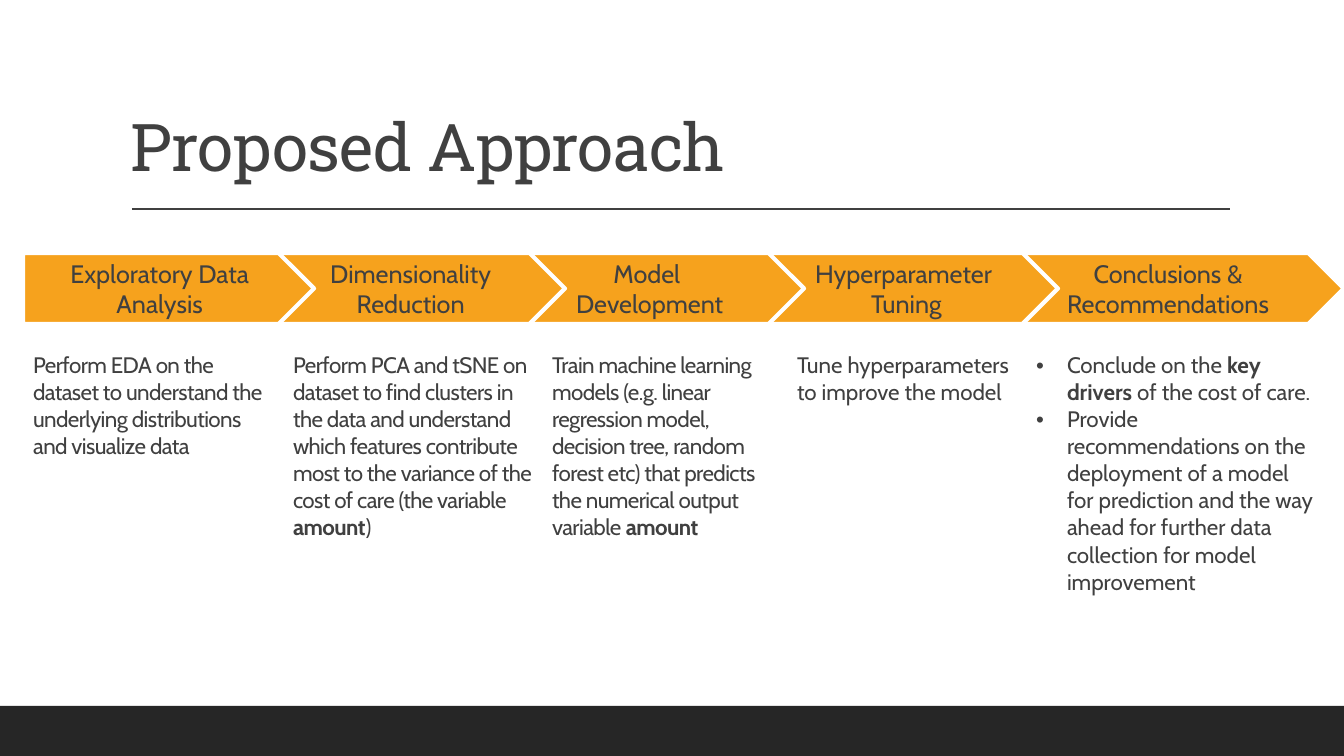
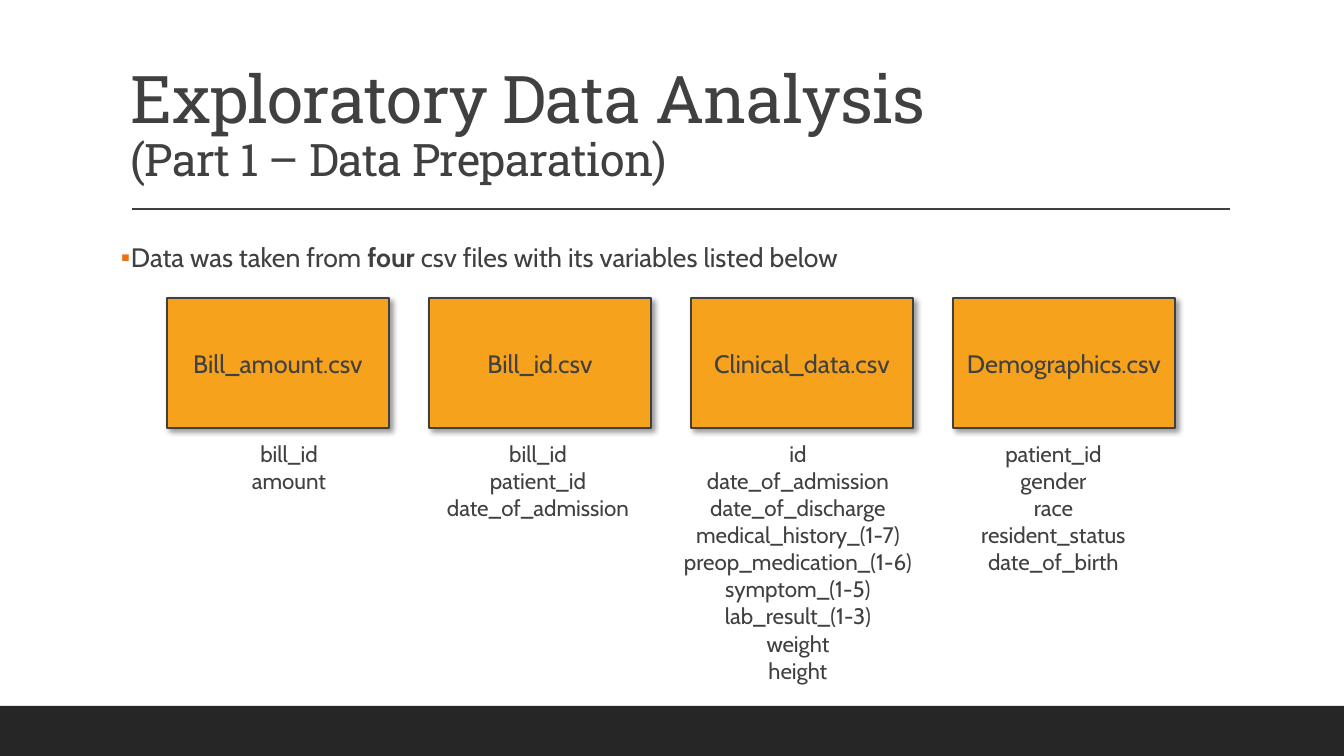
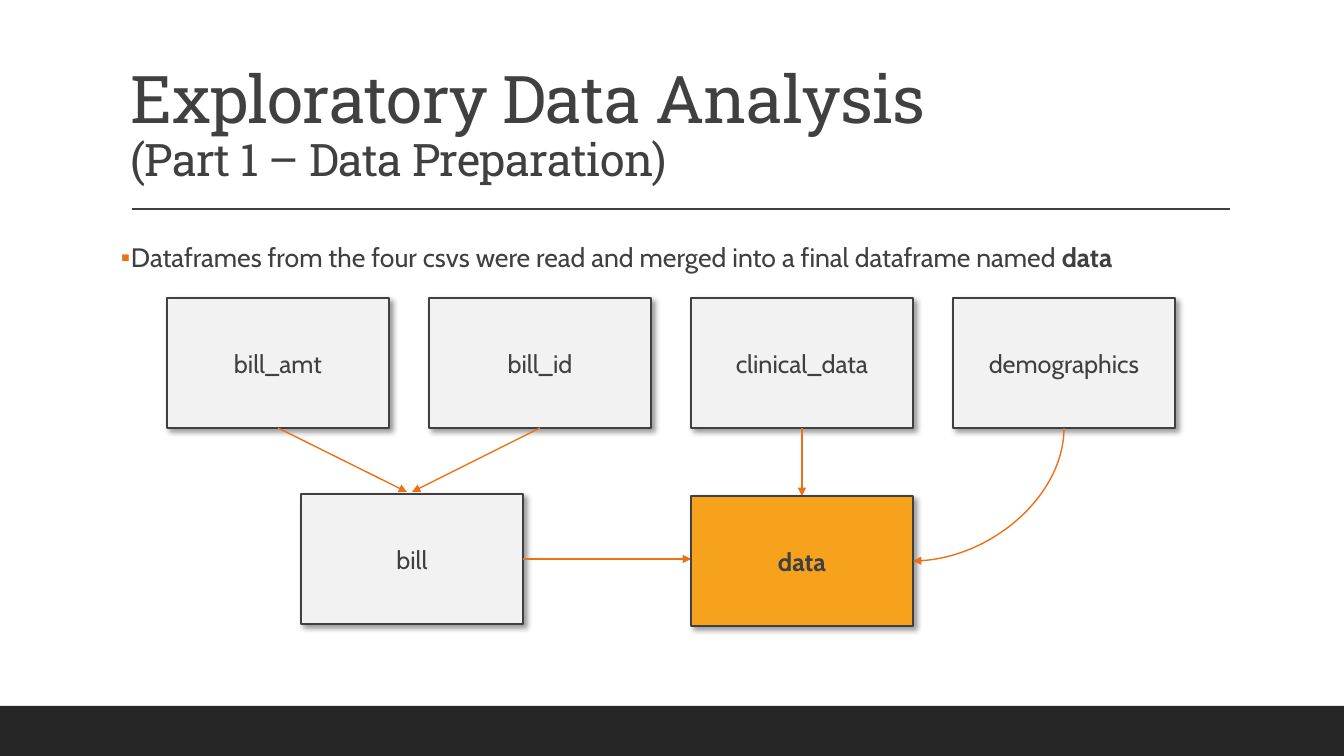
from lxml import etree
from pptx import Presentation
from pptx.dml.color import RGBColor
from pptx.enum.shapes import MSO_CONNECTOR, MSO_SHAPE
from pptx.enum.text import MSO_ANCHOR, PP_ALIGN
from pptx.oxml.ns import qn
from pptx.util import Emu, Pt

INK = RGBColor(0x40, 0x40, 0x40)
BAND = RGBColor(0x26, 0x26, 0x26)
AMBER = RGBColor(0xF6, 0xA2, 0x1D)
PALE = RGBColor(0xF2, 0xF2, 0xF2)
ORANGE = RGBColor(0xEC, 0x70, 0x16)
WHITE = RGBColor(0xFF, 0xFF, 0xFF)
HEAD_FONT, BODY_FONT = "Roboto Slab", "Cabin"
RECT, PENTAGON = MSO_SHAPE.RECTANGLE, MSO_SHAPE.PENTAGON
STRAIGHT, CURVE = MSO_CONNECTOR.STRAIGHT, MSO_CONNECTOR.CURVE
LEFT, CENTER = PP_ALIGN.LEFT, PP_ALIGN.CENTER
BOTTOM, MIDDLE = MSO_ANCHOR.BOTTOM, MSO_ANCHOR.MIDDLE
WIDTH, HEIGHT = 1344, 756
SCALE = 12192000 / WIDTH
BOX_W, BOX_H, BOX_TOP = 222, 130, 298
BOX_LEFTS = [167 + 262 * i for i in range(4)]


def px(n):
    return Emu(round(n * SCALE))


def add_xml(parent, tag, **attrs):
    return etree.SubElement(parent, qn(tag), attrs)


class Deck:
    def __init__(self):
        self.prs = Presentation()
        self.prs.slide_width, self.prs.slide_height = px(WIDTH), px(HEIGHT)
        self.s = None

    def slide(self, title, subtitle=None):
        self.s = self.prs.slides.add_slide(self.prs.slide_layouts[6])
        self.shape(RECT, 0, 706, WIDTH, 50, BAND)
        self.line(132, 209, 1230, 209, INK)
        tf = self.textbox(121, 31, 1109, 160)
        tf.vertical_anchor = BOTTOM
        p = tf.paragraphs[0]
        p.line_spacing = 0.9
        self.run(p, title, 47, HEAD_FONT, spc=-50)
        if subtitle:
            p.add_line_break()
            self.run(p, subtitle, 32, HEAD_FONT, spc=-50)

    def textbox(self, x, y, w, h):
        tf = self.s.shapes.add_textbox(px(x), px(y), px(w), px(h)).text_frame
        tf.word_wrap = True
        return tf

    def run(self, p, text, size, font=BODY_FONT, bold=False, spc=0):
        r = p.add_run()
        r.text = text
        self.style(r, size, font, bold)
        if spc:
            r.font._element.set("spc", str(spc))

    def style(self, r, size, font=BODY_FONT, bold=False):
        r.font.size, r.font.name, r.font.bold = Pt(size), font, bold
        r.font.color.rgb = INK

    def rich(self, p, text, size, spc=0):
        for i, part in enumerate(text.split("*")):
            if part:
                self.run(p, part, size, bold=i % 2 == 1, spc=spc)

    def bullet(self, p, char, indent, color=None):
        pPr = p._p.get_or_add_pPr()
        pPr.set("marL", str(px(indent)))
        pPr.set("indent", str(-px(indent)))
        if color:
            add_xml(add_xml(pPr, "a:buClr"), "a:srgbClr", val=str(color))
        add_xml(pPr, "a:buFont", typeface="Arial")
        add_xml(pPr, "a:buChar", char=char)

    def lead(self, text):
        tf = self.textbox(121, 233, 1109, 48)
        tf.margin_left = tf.margin_right = 0
        p = tf.paragraphs[0]
        self.bullet(p, "▪", 10, ORANGE)
        p.line_spacing = 1.1
        self.rich(p, text, 19)

    def shape(self, kind, x, y, w, h, fill, line=None, weight=1):
        sp = self.s.shapes.add_shape(kind, px(x), px(y), px(w), px(h))
        sp.shadow.inherit = False
        sp.fill.solid()
        sp.fill.fore_color.rgb = fill
        if line is None:
            sp.line.fill.background()
        else:
            sp.line.color.rgb = line
            sp.line.width = Pt(weight)
        return sp

    def label(self, sp, text, bold=False):
        tf = sp.text_frame
        tf.word_wrap = True
        tf.vertical_anchor = MIDDLE
        p = tf.paragraphs[0]
        p.text = text
        p.alignment = CENTER
        for r in p.runs:
            self.style(r, 18, bold=bold)

    def step(self, x, w, text):
        self.label(self.shape(PENTAGON, x, 253, w, 71, AMBER, WHITE, 3), text)

    def box(self, x, y, text, fill, bold=False):
        sp = self.shape(RECT, x, y, BOX_W, BOX_H, fill, INK, 1.25)
        effects = sp._element.spPr.find(qn("a:effectLst"))
        shadow = add_xml(effects, "a:outerShdw", blurRad=str(Pt(4)), dist=str(Pt(3)),
                         dir="2700000", algn="tl", rotWithShape="0")
        add_xml(add_xml(shadow, "a:srgbClr", val="000000"), "a:alpha", val="40000")
        self.label(sp, text, bold)

    def box_row(self, names, fill):
        for x, name in zip(BOX_LEFTS, names):
            self.box(x, BOX_TOP, name, fill)

    def line(self, x1, y1, x2, y2, color, kind=STRAIGHT):
        c = self.s.shapes.add_connector(kind, px(x1), px(y1), px(x2), px(y2))
        c.line.color.rgb = color
        c.line.width = Pt(1)
        add_xml(c._element.spPr, "a:effectLst")
        return c

    def arrow(self, x1, y1, x2, y2, kind=STRAIGHT):
        c = self.line(x1, y1, x2, y2, ORANGE, kind)
        add_xml(c.line._get_or_add_ln(), "a:tailEnd", type="triangle")
        return c

    def bend(self, x1, y1, x2, y2):
        cx, cy = (x1 + x2) / 2, (y1 + y2) / 2
        dx, dy = (y2 - y1) / 2, (x1 - x2) / 2
        c = self.arrow(cx - dx, cy - dy, cx + dx, cy + dy, CURVE)
        spPr = c._element.spPr
        spPr.find(qn("a:prstGeom")).set("prst", "curvedConnector2")
        spPr.find(qn("a:xfrm")).set("rot", "5400000")

    def table(self, x, y, h, widths, cells, spacings, align=LEFT):
        table = self.s.shapes.add_table(1, len(widths), px(x), px(y), px(sum(widths)), px(h)).table
        table.first_row = table.horz_banding = False
        for i, paragraphs in enumerate(cells):
            table.columns[i].width = px(widths[i])
            cell = table.cell(0, i)
            cell.fill.background()
            tf = cell.text_frame
            for j, text in enumerate(paragraphs):
                p = tf.add_paragraph() if j else tf.paragraphs[0]
                p.alignment = align
                if text.startswith("•"):
                    self.bullet(p, "•", 31)
                self.rich(p, text.lstrip("•"), 16, spacings[i])


def approach(deck):
    deck.slide("Proposed Approach")
    steps = [
        (1010, 334, "Conclusions & Recommendations"),
        (767, 291, "Hyperparameter\v Tuning"),
        (513, 291, "Model \vDevelopment"),
        (274, 291, "Dimensionality Reduction"),
        (23, 291, "Exploratory Data Analysis"),
    ]
    for x, w, text in steps:
        deck.step(x, w, text)
    cells = [
        ["Perform EDA on the dataset to understand the underlying distributions and visualize data"],
        ["Perform PCA and tSNE on dataset to find clusters in the data and understand which features "
         "contribute most to the variance of the cost of care (the variable *amount*)"],
        ["Train machine learning models (e.g. linear regression model, decision tree, random forest etc) "
         "that predicts the numerical output variable *amount*"],
        ["Tune hyperparameters to improve the model"],
        ["•Conclude on the *key drivers* of the cost of care.",
         "•Provide recommendations on the deployment of a model for prediction and the way ahead "
         "for further data collection for model improvement"],
    ]
    deck.table(23, 347, 271, [260, 259, 245, 239, 299], cells, [-40, -40, -40, 0, 0])


def sources(deck):
    deck.slide("Exploratory Data Analysis", "(Part 1 – Data Preparation)")
    cells = [
        ["bill_id", "amount"],
        ["bill_id", "patient_id", "date_of_admission"],
        ["id", "date_of_admission", "date_of_discharge", "medical_history_(1-7)",
         "preop_medication_(1-6)", "symptom_(1-5)", "lab_result_(1-3)", "weight", "height"],
        ["patient_id", "gender", "race", "resident_status", "date_of_birth"],
    ]
    deck.table(167, 436, 252, [244, 254, 266, 245], cells, [0] * 4, CENTER)
    deck.lead("Data was taken from *four *csv files with its variables listed below")
    deck.box_row(["Bill_amount.csv", "Bill_id.csv", "Clinical_data.csv", "Demographics.csv"], AMBER)


def merging(deck):
    deck.slide("Exploratory Data Analysis", "(Part 1 – Data Preparation)")
    deck.lead("Dataframes from the four csvs were read and merged into a final dataframe named *data*")
    deck.box_row(["bill_amt", "bill_id", "clinical_data", "demographics"], PALE)
    amount_x, id_x, clinical_x, demographics_x = [x + BOX_W // 2 for x in BOX_LEFTS]
    bottom = BOX_TOP + BOX_H
    bill_x, data_x = 301, BOX_LEFTS[2]
    deck.arrow(amount_x, bottom, 407, 492)
    deck.arrow(id_x, bottom, 412, 492)
    deck.box(bill_x, 494, "bill", PALE)
    deck.arrow(bill_x + BOX_W, 559, data_x, 559)
    deck.arrow(clinical_x, bottom, clinical_x, 496)
    deck.box(data_x, 496, "data", AMBER, bold=True)
    deck.bend(demographics_x, bottom, data_x + BOX_W, 561)


def main():
    deck = Deck()
    approach(deck)
    sources(deck)
    merging(deck)
    deck.prs.save("out.pptx")


if __name__ == "__main__":
    main()
